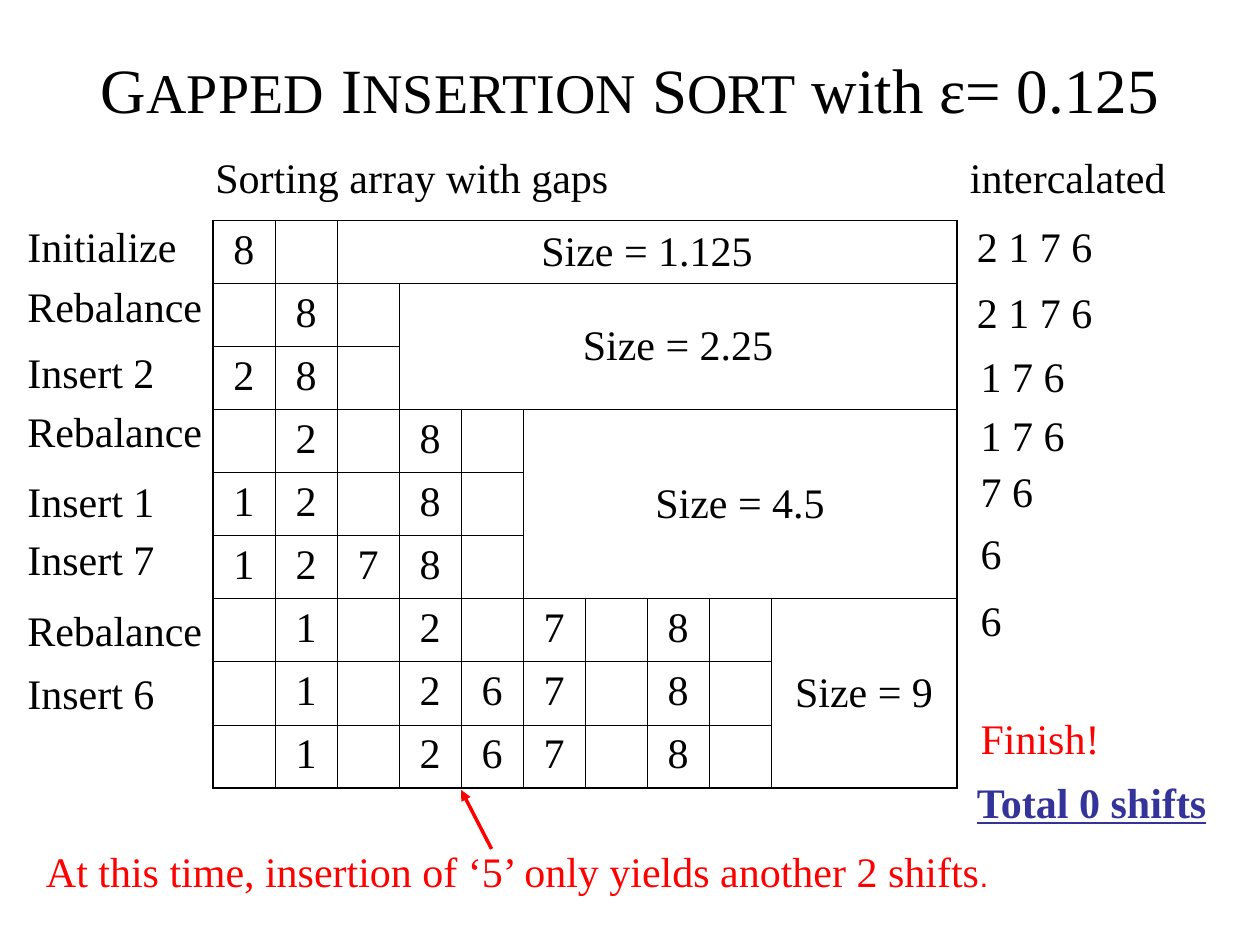
from lxml import etree
from pptx import Presentation
from pptx.dml.color import RGBColor
from pptx.enum.shapes import MSO_CONNECTOR
from pptx.enum.text import MSO_ANCHOR, PP_ALIGN
from pptx.oxml.ns import qn
from pptx.util import Inches, Pt

BLACK = RGBColor(0x00, 0x00, 0x00)
RED = RGBColor(0xFF, 0x00, 0x00)
INDIGO = RGBColor(0x33, 0x33, 0x99)
CENTER = PP_ALIGN.CENTER
MIDDLE = MSO_ANCHOR.MIDDLE
TOP = MSO_ANCHOR.TOP
STRAIGHT = MSO_CONNECTOR.STRAIGHT
SERIF, SANS = "Times New Roman", "Arial"
PLAIN_TABLE = "{2D5ABB26-0587-4C30-8999-92F81FD0307C}"

SLIDE_WIDTH, SLIDE_HEIGHT = Inches(10), Inches(7.5)
GRID_LEFT, GRID_TOP = Inches(1.69), Inches(1.75)
GRID_WIDTH, GRID_HEIGHT = Inches(5.91), Inches(4.48)
UNIT_COLUMNS, ROWS, COLUMNS = 12, 9, 10
COLUMN, ROW = GRID_WIDTH / UNIT_COLUMNS, GRID_HEIGHT / ROWS
LINE_ROWS = 1
OUTER, INNER = Pt(1.08), Pt(0.45)

TITLE = [("G", 36), ("APPED", 32), (" ", 40), ("I", 36), ("NSERTION", 32),
         (" S", 36), ("ORT", 32), (" with ε= 0.125", 36)]
ARRAY_STATES = ["8.", ".8.", "28.", ".2.8.", "12.8.", "1278.",
                ".1.2.7.8.", ".1.267.8.", ".1.267.8."]
SIZES = [(0, 0, 2, "Size = 1.125"), (1, 2, 3, "Size = 2.25"),
         (3, 5, 5, "Size = 4.5"), (6, 8, 9, "Size = 9")]
STEPS = [(-0.1, "Initialize"), (0.86, "Rebalance"), (1.91, "Insert 2"),
         (2.85, "Rebalance"), (3.96, "Insert 1"), (4.9, "Insert 7"),
         (6.02, "Rebalance"), (7.03, "Insert 6")]
PENDING = [(12.11, -0.1, "2 1 7 6"), (12.11, 0.96, "2 1 7 6"),
           (12.17, 1.97, "1 7 6"), (12.17, 2.91, "1 7 6"),
           (12.17, 3.8, "7 6"), (12.17, 4.8, "6"), (12.17, 5.86, "6")]


def grid_x(column):
    """Return the horizontal position of a grid column."""
    return round(GRID_LEFT + column * COLUMN)


def grid_y(row):
    """Return the vertical position of a grid row."""
    return round(GRID_TOP + row * ROW)


def style(font, size=24, color=BLACK, name=SERIF):
    """Set the size, colour and typeface of a font."""
    font.size, font.name = Pt(size), name
    font.color.rgb = color


def add_label(page, column, row, columns, text, color=BLACK):
    """Add one line of text on the grid and return its paragraph."""
    box = page.shapes.add_textbox(grid_x(column), grid_y(row),
                                  round(columns * COLUMN), round(LINE_ROWS * ROW))
    box.text_frame.word_wrap = True
    para = box.text_frame.paragraphs[0]
    para.text = text
    style(para.runs[0].font, color=color)
    return para


def add_title(page):
    """Add the title with its small capitals."""
    box = page.shapes.add_textbox(round(SLIDE_WIDTH * 0.05), round(SLIDE_HEIGHT * 0.03),
                                  round(SLIDE_WIDTH * 0.9), round(SLIDE_HEIGHT * 0.12))
    box.text_frame.word_wrap = True
    box.text_frame.vertical_anchor = MIDDLE
    para = box.text_frame.paragraphs[0]
    para.alignment = CENTER
    for text, size in TITLE:
        span = para.add_run()
        span.text = text
        style(span.font, size)
        span.font.bold = text == " "


def set_borders(cell, row, column):
    """Draw the cell's borders, heavier along the edge of the table."""
    edges = {"a:lnL": column == 0,
             "a:lnR": column + cell.span_width == COLUMNS,
             "a:lnT": row == 0,
             "a:lnB": row + cell.span_height == ROWS}
    properties = cell._tc.get_or_add_tcPr()
    for tag, is_outer in edges.items():
        line = etree.SubElement(properties, qn(tag), w=str(OUTER if is_outer else INNER))
        fill = etree.SubElement(line, qn("a:solidFill"))
        etree.SubElement(fill, qn("a:srgbClr"), val=str(BLACK))


def fill_cell(cell, text, anchor=TOP):
    """Write centred text in a table cell."""
    cell.vertical_anchor = anchor
    para = cell.text_frame.paragraphs[0]
    para.text = text
    para.alignment = CENTER
    style(para.runs[0].font)


def add_array_table(page):
    """Add the table of array states and the merged size cells."""
    frame = page.shapes.add_table(ROWS, COLUMNS, GRID_LEFT, GRID_TOP,
                                  GRID_WIDTH, GRID_HEIGHT)
    table = frame.table
    table.first_row = table.horz_banding = False
    table._tbl.tblPr.find(qn("a:tableStyleId")).text = PLAIN_TABLE
    for index, column in enumerate(table.columns):
        units = UNIT_COLUMNS - COLUMNS + 1 if index == COLUMNS - 1 else 1
        column.width = round(units * COLUMN)
    for row, state in enumerate(ARRAY_STATES):
        for column, value in enumerate(state):
            if value != ".":
                fill_cell(table.cell(row, column), value)
    for first, last, column, text in SIZES:
        cell = table.cell(first, column)
        cell.merge(table.cell(last, COLUMNS - 1))
        fill_cell(cell, text, MIDDLE)
    for row in range(ROWS):
        for column in range(COLUMNS):
            cell = table.cell(row, column)
            if not cell.is_spanned:
                set_borders(cell, row, column)
            cell.fill.background()


def add_arrow(page, start, end):
    """Add a red arrow between two grid points."""
    arrow = page.shapes.add_connector(STRAIGHT, grid_x(start[0]), grid_y(start[1]),
                                      grid_x(end[0]), grid_y(end[1]))
    arrow.line.color.rgb = RED
    arrow.line.width = Pt(2)
    etree.SubElement(arrow.line._get_or_add_ln(), qn("a:tailEnd"), type="triangle")
    etree.SubElement(arrow._element.spPr, qn("a:effectLst"))


def main():
    """Build the slide and save the deck."""
    deck = Presentation()
    deck.slide_width, deck.slide_height = SLIDE_WIDTH, SLIDE_HEIGHT
    page = deck.slides.add_slide(deck.slide_layouts[6])
    add_title(page)
    add_label(page, -0.16, -1.2, 7.35, "Sorting array with gaps")
    add_label(page, 12, -1.2, 4, "intercalated")
    for row, text in STEPS:
        add_label(page, -3.19, row, 3.35, text)
    add_array_table(page)
    for column, row, text in PENDING:
        add_label(page, column, row, 2.76, text)
    add_label(page, 12.17, 7.75, 2.6, "Finish!", RED)
    total = add_label(page, 12.11, 8.76, 4.85, "Total 0 shifts", INDIGO)
    total.runs[0].font.bold = total.runs[0].font.underline = True
    note = add_label(page, -2.89, 9.86, 17.28,
                     "At this time, insertion of ‘5’ only yields another 2 shifts", RED)
    period = note.add_run()
    period.text = "."
    style(period.font, 18, RED, SANS)
    add_arrow(page, (4.49, 10.02), (4, 9.08))
    deck.save("out.pptx")


if __name__ == "__main__":
    main()
